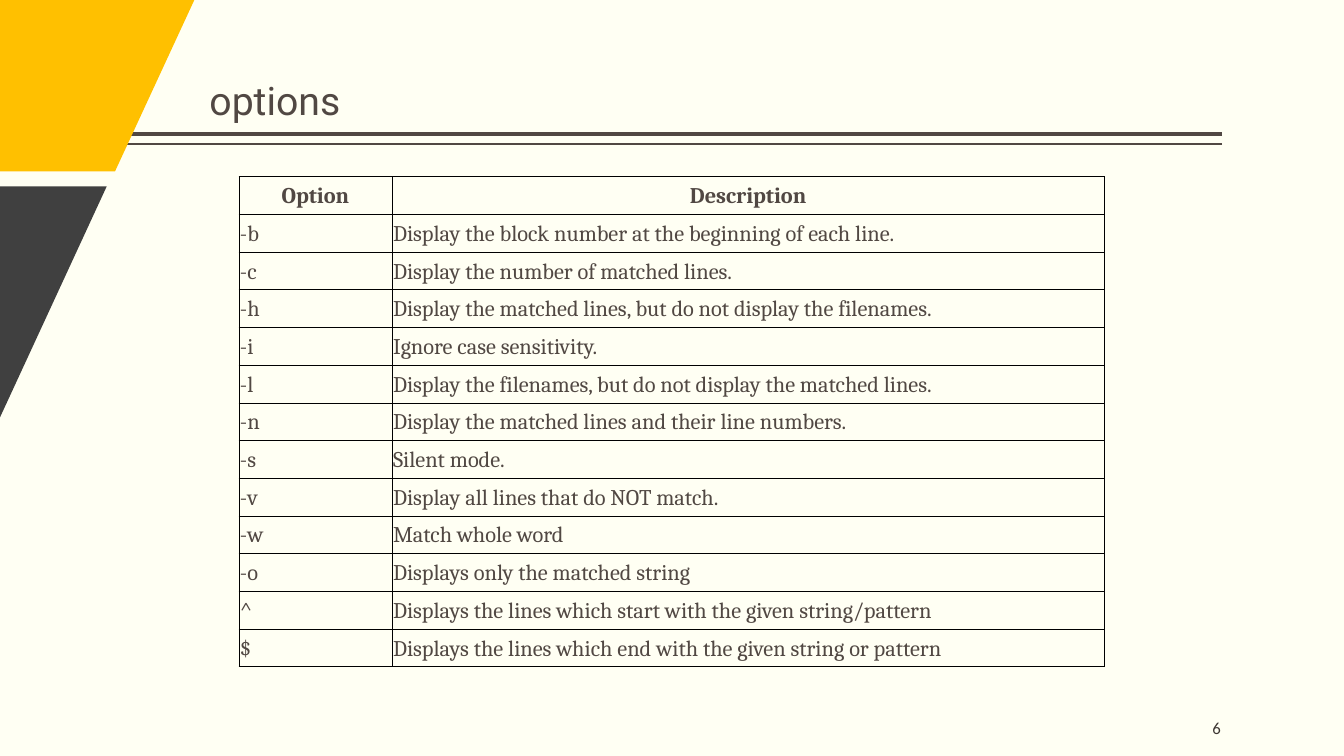
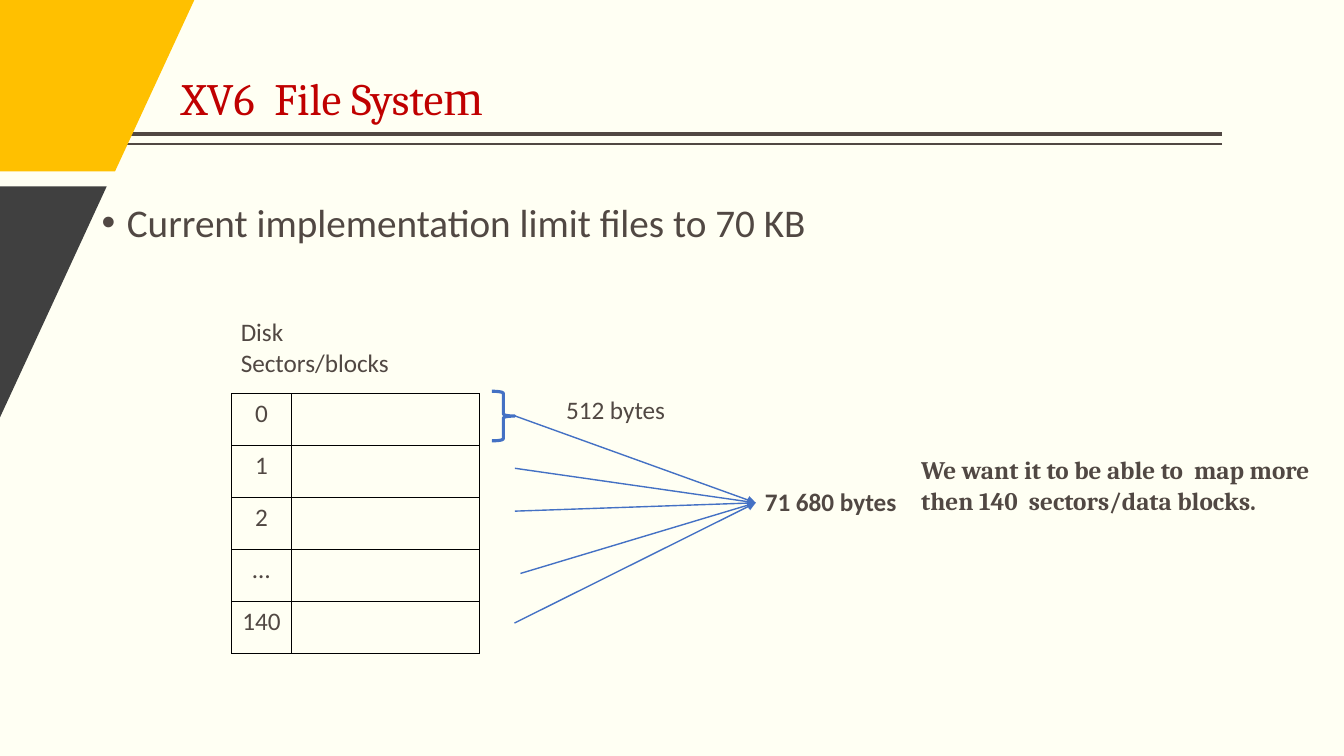
from dataclasses import dataclass

from lxml import etree
from pptx import Presentation
from pptx.dml.color import RGBColor
from pptx.enum.shapes import MSO_CONNECTOR, MSO_SHAPE
from pptx.enum.text import MSO_ANCHOR, MSO_AUTO_SIZE, PP_ALIGN
from pptx.oxml.ns import qn
from pptx.util import Cm, Pt

STRAIGHT = MSO_CONNECTOR.STRAIGHT
RIGHT_BRACE = MSO_SHAPE.RIGHT_BRACE
TOP, MIDDLE, BOTTOM = MSO_ANCHOR.TOP, MSO_ANCHOR.MIDDLE, MSO_ANCHOR.BOTTOM
LEFT, CENTER, RIGHT = PP_ALIGN.LEFT, PP_ALIGN.CENTER, PP_ALIGN.RIGHT
NO_AUTOFIT = MSO_AUTO_SIZE.NONE
TITLE_ONLY = 5


@dataclass(frozen=True)
class Theme:
    """Colours, fonts and type sizes of the deck."""
    paper: str = "FFFFF3"
    ink: str = "514843"
    page_ink: str = "3D3632"
    yellow: str = "FFC000"
    charcoal: str = "404040"
    red: str = "C00000"
    blue: str = "4471C4"
    grid: str = "000000"
    sans: str = "Calibri"
    serif: str = "Cambria"
    heading: str = "Roboto"
    fallback: str = "Times New Roman"
    title: int = 28
    serif_title: int = 32
    title_end: int = 36
    body: int = 28
    label: int = 18
    cell: int = 16
    page: int = 12
    border: float = 0.45


THEME = Theme()

RULES = [(3.38, 3), (3.63, 1)]
BANDS = [
    (THEME.yellow, [(0, 0), (4.9, 0), (2.9, 4.32), (0, 4.32)]),
    (THEME.charcoal, [(0, 4.7), (2.69, 4.7), (0, 10.52)]),
]
OPTIONS = [
    ("Option", "Description"),
    ("-b", "Display the block number at the beginning of each line."),
    ("-c", "Display the number of matched lines."),
    ("-h", "Display the matched lines, but do not display the filenames."),
    ("-i", "Ignore case sensitivity."),
    ("-l", "Display the filenames, but do not display the matched lines."),
    ("-n", "Display the matched lines and their line numbers."),
    ("-s", "Silent mode."),
    ("-v", "Display all lines that do NOT match."),
    ("-w", "Match whole word"),
    ("-o", "Displays only the matched string"),
    ("^", "Displays the lines which start with the given string/pattern"),
    ("$", "Displays the lines which end with the given string or pattern"),
]
SECTORS = ["0", "1", "2", "…", "140"]
ARROW_STARTS = [(7.14, 2.53), (7.14, 3.85), (7.14, 4.93), (7.28, 6.5), (7.13, 7.75)]
ARROW_TIP = (13.21, 4.72)


def rgb(colour):
    """Turn a hex string into a colour."""
    return RGBColor.from_string(colour)


def write(frame, text, size=THEME.label, font=THEME.sans, colour=THEME.ink,
          bold=False, align=LEFT, spacing=None, before=None):
    """Add a formatted run to the first paragraph of a text frame."""
    paragraph = frame.paragraphs[0]
    paragraph.alignment = align
    if spacing:
        paragraph.line_spacing = spacing
    if before is not None:
        paragraph.space_before = Pt(before)
    run = paragraph.add_run()
    run.text = text
    run.font.size = Pt(size)
    run.font.name = font
    run.font.bold = bold
    run.font.color.rgb = rgb(colour)
    return paragraph


def fit(shape, box, anchor=TOP, inset=0.03, bottom=0):
    """Place a text shape in a box and return its wrapped frame."""
    shape.left, shape.top, shape.width, shape.height = map(Cm, box)
    frame = shape.text_frame
    frame.word_wrap = True
    frame.auto_size = NO_AUTOFIT
    frame.vertical_anchor = anchor
    frame.margin_left = frame.margin_right = 0
    frame.margin_top, frame.margin_bottom = Cm(inset), Cm(bottom)
    return frame


def add_label(slide, box, text, anchor=TOP, **style):
    """Add a text box holding one paragraph."""
    frame = fit(slide.shapes.add_textbox(*map(Cm, box)), box, anchor)
    return write(frame, text, **style)


def add_line(slide, start, end, colour, weight, arrow=False):
    """Draw a straight line, with an arrowhead at its end if asked."""
    line = slide.shapes.add_connector(STRAIGHT, *map(Cm, (*start, *end)))
    line.line.color.rgb = rgb(colour)
    line.line.width = Pt(weight)
    if arrow:
        etree.SubElement(line.line._get_or_add_ln(), qn("a:tailEnd"), type="triangle")
    etree.SubElement(line._element.spPr, qn("a:effectLst"))


def add_frame(slide):
    """Draw the title rules and the slanted bands of every slide."""
    for y, weight in RULES:
        add_line(slide, (30.81, y), (3.07, y), THEME.ink, weight)
    for colour, points in BANDS:
        corners = [(Cm(x), Cm(y)) for x, y in points]
        outline = slide.shapes.build_freeform(*corners[0], scale=1.0)
        outline.add_line_segments(corners[1:], close=True)
        band = outline.convert_to_shape()
        band.shadow.inherit = False
        band.fill.solid()
        band.fill.fore_color.rgb = rgb(colour)
        band.line.fill.background()


def add_slide(deck):
    """Add a title-only slide with the shared frame."""
    slide = deck.slides.add_slide(deck.slide_layouts[TITLE_ONLY])
    add_frame(slide)
    return slide


def border_cell(cell):
    """Give a cell thin borders and no fill."""
    properties = cell._tc.get_or_add_tcPr()
    for side in ("a:lnL", "a:lnR", "a:lnT", "a:lnB"):
        edge = etree.SubElement(properties, qn(side), w=str(Pt(THEME.border)))
        fill = etree.SubElement(edge, qn("a:solidFill"))
        etree.SubElement(fill, qn("a:srgbClr"), val=THEME.grid)
    cell.fill.background()


def add_grid(slide, left, top, widths, row_height, row_count, header=False):
    """Add a plain bordered table and return it."""
    size = (sum(widths), row_height * row_count)
    table = slide.shapes.add_table(
        row_count, len(widths), *map(Cm, (left, top, *size))).table
    table.first_row = header
    table.horz_banding = False
    for column, width in zip(table.columns, widths):
        column.width = Cm(width)
    for row in table.rows:
        row.height = Cm(row_height)
    for cell in table.iter_cells():
        border_cell(cell)
    return table


def add_options(slide, left, top):
    """Fill the table of options and their descriptions."""
    table = add_grid(slide, left, top, (3.86, 17.96), 0.95, len(OPTIONS), header=True)
    for row, entry in enumerate(OPTIONS):
        heading = row == 0
        for column, text in enumerate(entry):
            cell = table.cell(row, column)
            cell.vertical_anchor = MIDDLE
            cell.margin_left = cell.margin_right = Cm(0.03)
            write(cell.text_frame, text, size=THEME.cell, font=THEME.serif,
                  bold=heading, align=CENTER if heading else LEFT, spacing=1.07)


def add_bullet(slide, box, text):
    """Add a bulleted line with a hanging indent."""
    paragraph = add_label(slide, box, text, size=THEME.body, before=1)
    properties = paragraph._p.get_or_add_pPr()
    properties.set("marL", str(Cm(0.66)))
    properties.set("indent", str(-Cm(0.64)))
    etree.SubElement(properties, qn("a:buFont"), typeface="Arial")
    etree.SubElement(properties, qn("a:buChar"), char="•")


def add_sector_diagram(slide, left, top):
    """Draw the disk sectors with arrows to their total size."""
    def at(x, y):
        return left + x, top + y

    add_label(slide, (*at(0.23, 0), 4.32, 1.55), "Disk Sectors/blocks", before=1)
    sectors = add_grid(slide, *at(0, 1.96), (1.5, 4.75), 1.31, len(SECTORS))
    for row, number in enumerate(SECTORS):
        write(sectors.cell(row, 0).text_frame, number, align=CENTER, before=2.5)

    brace = slide.shapes.add_shape(RIGHT_BRACE, *map(Cm, (*at(6.56, 1.91), 0.58, 1.25)))
    brace.shadow.inherit = False
    brace.fill.background()
    brace.line.color.rgb = rgb(THEME.blue)
    brace.line.width = Pt(2.25)

    for start in ARROW_STARTS:
        add_line(slide, at(*start), at(*ARROW_TIP), THEME.blue, 1, arrow=True)
    add_label(slide, (*at(8.43, 1.95), 3, 0.79), "512 bytes", before=1)
    add_label(slide, (*at(13.44, 4.27), 3.7, 0.79), "71 680 bytes", bold=True, before=1)
    add_label(slide, (*at(17.38, 3.48), 10.64, 1.55),
              "We want it to be able to  map more then 140  sectors/data blocks.",
              font=THEME.serif, bold=True, before=1)


def build_options_slide(deck):
    """Build the slide of command options."""
    slide = add_slide(deck)
    title = fit(slide.shapes.title, (5.28, 0.2, 25.53, 3.05), BOTTOM, 0.13, 0.13)
    write(title, "options", size=THEME.title, font=THEME.heading, spacing=0.9)
    add_options(slide, 6.02, 4.45)
    add_label(slide, (25.7, 17.82, 5.08, 1.02), "6", anchor=MIDDLE,
              size=THEME.page, colour=THEME.page_ink, align=RIGHT)


def build_file_system_slide(deck):
    """Build the slide on the file size limit."""
    slide = add_slide(deck)
    title = fit(slide.shapes.title, (4.57, 1.6, 26.24, 1.57), BOTTOM)
    write(title, "XV6  File Syste", size=THEME.serif_title, font=THEME.serif,
          colour=THEME.red, before=1)
    write(title, "m", size=THEME.title_end, font=THEME.fallback, colour=THEME.red)
    add_bullet(slide, (2.54, 4.98, 20.68, 1.22),
               "Current implementation limit files to 70 KB")
    add_sector_diagram(slide, 5.84, 7.95)


def main():
    """Build and save the deck."""
    deck = Presentation()
    deck.slide_width, deck.slide_height = Cm(33.88), Cm(19.05)
    paper = deck.slide_master.background.fill
    paper.solid()
    paper.fore_color.rgb = rgb(THEME.paper)
    build_options_slide(deck)
    build_file_system_slide(deck)
    deck.save("out.pptx")


if __name__ == "__main__":
    main()
